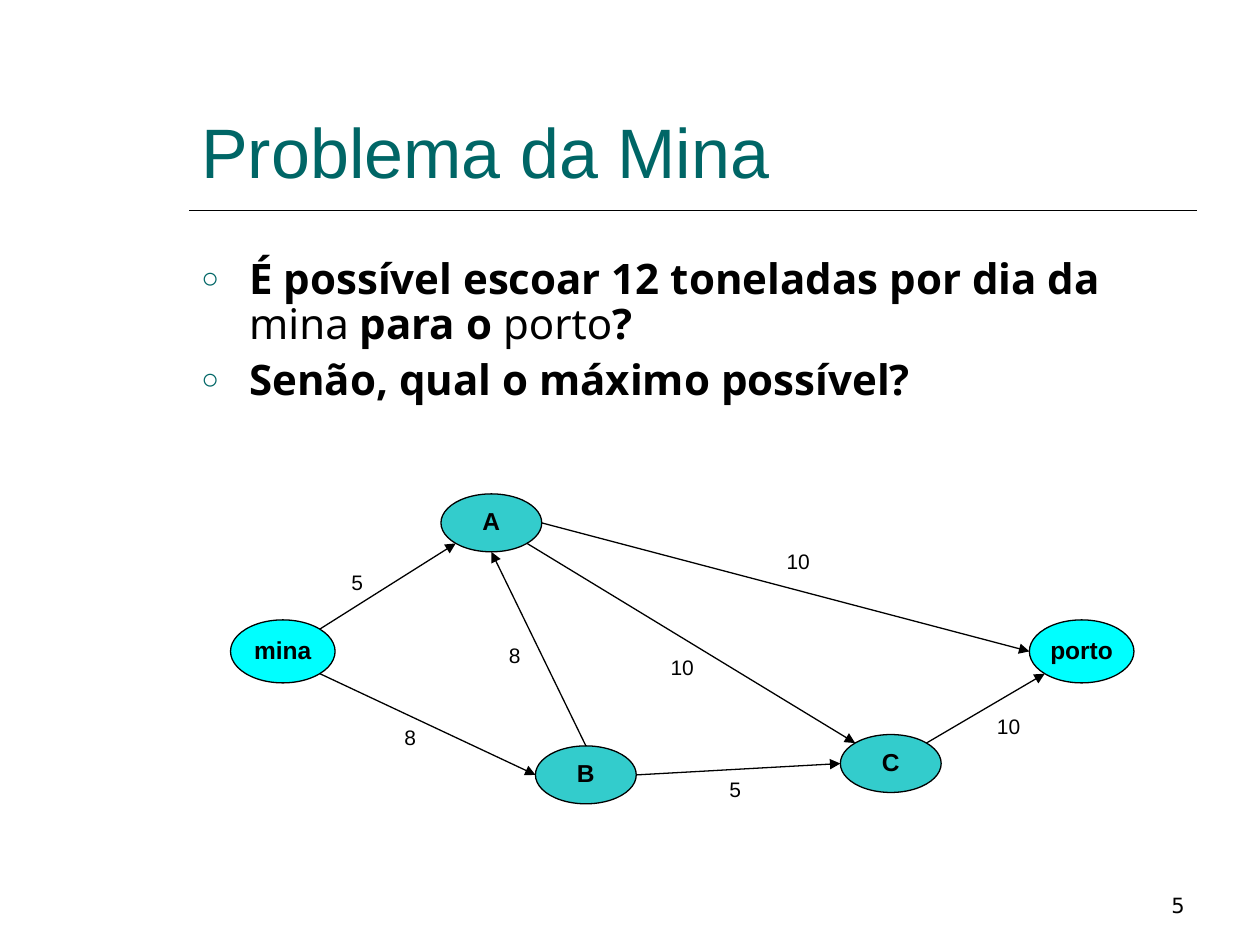
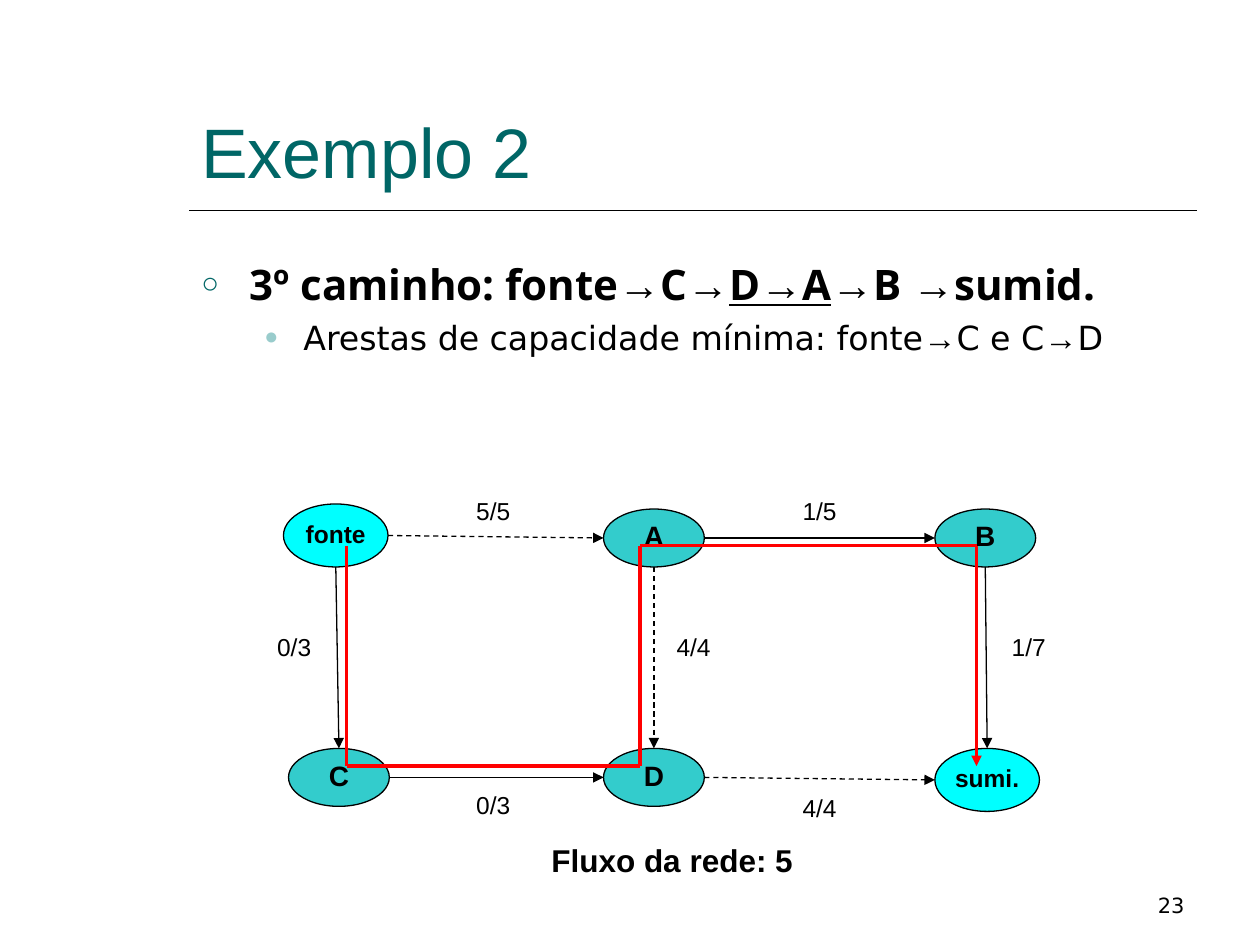
from dataclasses import dataclass, field
from itertools import groupby, pairwise
from math import cos, radians, sin

from lxml.etree import SubElement as Sub
from pptx import Presentation
from pptx.dml.color import RGBColor as Rgb
from pptx.enum.dml import MSO_LINE as Dash
from pptx.enum.shapes import MSO_CONNECTOR as Link, MSO_SHAPE as Form
from pptx.enum.text import MSO_ANCHOR as Anchor, PP_ALIGN as Align
from pptx.oxml.ns import qn
from pptx.util import Inches, Pt

BLACK, TEAL, PALE = "000000", "006666", "99CCCC"
CYAN, AQUA, RED, WHITE = "00FFFF", "33CCCC", "FF0000", "FFFFFF"
SANS, NOTO, DEJA, TIMES = "Arial", "Noto Sans", "DejaVu Sans", "Times New Roman"
EAST, SOUTHEAST, SOUTH, SOUTHWEST = 0, 45, 90, 135
WEST, NORTHWEST, NORTH, NORTHEAST = 180, 225, 270, 315
ARROW = "→"

Point = tuple[float, float]
Box = tuple[float, float, float, float]


@dataclass
class Node:
    text: str
    left: float
    top: float
    end: bool = False
    size: int = 14

    def area(self) -> Box:
        return (self.left, self.top, *((0.83, 0.5) if self.end else (0.8, 0.46)))

    def site(self, angle: int) -> Point:
        left, top, width, height = self.area()
        turn = radians(angle)
        return (left + width / 2 * (1 + cos(turn)),
                top + height / 2 * (1 + sin(turn)))


@dataclass
class Edge:
    start: str
    leave: int
    goal: str
    enter: int
    dash: bool = False


@dataclass
class Label:
    text: str
    left: float
    top: float


@dataclass
class Run:
    text: str
    look: dict = field(default_factory=dict)


@dataclass
class Item:
    runs: list[Run]
    font: str = NOTO
    size: int = 24
    bold: bool = True
    level: int = 0
    space: float = 1


@dataclass
class Bullet:
    sign: str
    tint: str
    left: float
    hang: float
    before: float


BULLETS = [Bullet("○", TEAL, 0.38, 0.38, 6), Bullet("●", PALE, 0.81, 0.31, 4.8)]


def color(code: str) -> Rgb:
    return Rgb.from_string(code)


def apply(target, values: dict) -> None:
    for name, value in values.items():
        setattr(target, name, value)


def add_run(para, text: str, tint: str = BLACK, **look) -> None:
    run = para.add_run()
    run.text = text
    apply(run.font, look)
    run.font.color.rgb = color(tint)


def add_text(slide, box: Box, text: str, size: int, frame: dict, para: dict,
             **look) -> None:
    shape = slide.shapes.add_textbox(*map(Inches, box))
    apply(shape.text_frame, {"word_wrap": True} | frame)
    first = shape.text_frame.paragraphs[0]
    apply(first, para)
    add_run(first, text, size=Pt(size), **look)


def add_line(slide, start: Point, goal: Point, tint: str = BLACK,
             width: float = 0.75, head: bool = False, dash: bool = False) -> None:
    line = slide.shapes.add_connector(Link.STRAIGHT, *map(Inches, start + goal))
    line.line.color.rgb = color(tint)
    line.line.width = Pt(width)
    if dash:
        line.line.dash_style = Dash.DASH
    if head:
        Sub(line.line._get_or_add_ln(), qn("a:tailEnd"), type="triangle")
    Sub(line._element.spPr, qn("a:effectLst"))


def add_node(slide, node: Node) -> None:
    shape = slide.shapes.add_shape(Form.OVAL, *map(Inches, node.area()))
    shape.shadow.inherit = False
    shape.fill.solid()
    shape.fill.fore_color.rgb = color(CYAN if node.end else AQUA)
    shape.line.color.rgb = color(BLACK)
    shape.line.width = Pt(0.75)
    apply(shape.text_frame, {"word_wrap": False, "vertical_anchor": Anchor.MIDDLE})
    para = shape.text_frame.paragraphs[0]
    apply(para, {"alignment": Align.CENTER, "line_spacing": 0.87})
    add_run(para, node.text, name=SANS, size=Pt(node.size), bold=True)


def add_label(slide, box: Box, text: str, size: int, bold: bool = False) -> None:
    para = {"alignment": Align.CENTER, "line_spacing": 0.87,
            "space_before": Pt(size * 0.625)}
    add_text(slide, box, text, size, {}, para, name=SANS, bold=bold)


def add_graph(slide, nodes: list[Node], edges: list[Edge], labels: list[Label],
              size: int) -> None:
    for node in nodes:
        add_node(slide, node)
    spots = {node.text: node for node in nodes}
    for edge in edges:
        add_line(slide, spots[edge.start].site(edge.leave),
                 spots[edge.goal].site(edge.enter), head=True, dash=edge.dash)
    for label in labels:
        add_label(slide, (label.left, label.top, 0.67, 0.3), label.text, size)


def add_bullet(para, level: int) -> None:
    mark = BULLETS[level]
    apply(para, {"level": level, "space_before": Pt(mark.before)})
    props = para._p.get_or_add_pPr()
    props.set("marL", str(Inches(mark.left)))
    props.set("indent", str(-Inches(mark.hang)))
    Sub(Sub(props, qn("a:buClr")), qn("a:srgbClr"), val=mark.tint)
    Sub(props, qn("a:buSzPct"), val="70000")
    Sub(props, qn("a:buFont"), typeface=SANS)
    Sub(props, qn("a:buChar"), char=mark.sign)


def add_body(slide, height: float, items: list[Item]) -> None:
    shape = slide.shapes.add_textbox(*map(Inches, (1.5, 2, 8, height)))
    frame = shape.text_frame
    frame.word_wrap = True
    for place, item in enumerate(items):
        para = frame.add_paragraph() if place else frame.paragraphs[0]
        para.line_spacing = item.space
        add_bullet(para, item.level)
        for run in item.runs:
            for arrow, part in groupby(run.text, lambda sign: sign == ARROW):
                look = {"name": TIMES if arrow else item.font,
                        "size": Pt(item.size), "bold": item.bold}
                add_run(para, "".join(part), **(look | run.look))


def add_slide(deck, title: str, number: int):
    slide = deck.slides.add_slide(deck.slide_layouts[6])
    slide.background.fill.solid()
    slide.background.fill.fore_color.rgb = color(WHITE)
    add_line(slide, (1.5, 1.67), (9.5, 1.67), width=1)
    base = {"vertical_anchor": Anchor.BOTTOM}
    add_text(slide, (1.5, 0.33, 8, 1.25), title, 40, base, {}, name=SANS, tint=TEAL)
    add_text(slide, (7.17, 6.83, 2.33, 0.5), str(number), 12, base,
             {"alignment": Align.RIGHT}, name=DEJA)
    return slide


def draw_mine(deck) -> None:
    slide = add_slide(deck, "Problema da Mina", 5)
    plain = {"bold": False}
    add_body(slide, 1.34, [
        Item([Run("É possível escoar 12 toneladas por dia da "), Run("mina", plain),
              Run(" para o "), Run("porto", plain), Run("?")], space=0.9),
        Item([Run("Senão, qual o máximo possível?")], space=0.9),
    ])
    nodes = [
        Node("mina", 1.83, 4.92, True),
        Node("porto", 8.17, 4.92, True),
        Node("A", 3.5, 3.92),
        Node("B", 4.25, 5.92),
        Node("C", 6.67, 5.83),
    ]
    edges = [
        Edge("mina", SOUTHEAST, "B", WEST),
        Edge("B", NORTH, "A", SOUTH),
        Edge("mina", NORTHEAST, "A", SOUTHWEST),
        Edge("B", EAST, "C", WEST),
        Edge("C", NORTHEAST, "porto", SOUTHWEST),
        Edge("A", SOUTHEAST, "C", NORTHWEST),
        Edge("A", EAST, "porto", WEST),
    ]
    labels = [
        Label("5", 2.5, 4.5), Label("8", 2.92, 5.73), Label("8", 3.75, 5.08),
        Label("10", 5.08, 5.17), Label("10", 6, 4.33), Label("5", 5.5, 6.14),
        Label("10", 7.67, 5.64),
    ]
    add_graph(slide, nodes, edges, labels, 12)


def draw_flow(deck) -> None:
    slide = add_slide(deck, "Exemplo 2", 23)
    add_body(slide, 2.17, [
        Item([Run("3º caminho: fonte→C→"), Run("D→A", {"underline": True}),
              Run("→B →sumid.")]),
        Item([Run("Arestas de capacidade mínima: fonte→C e C→D")],
             DEJA, 19, False, 1),
    ])
    nodes = [
        Node("fonte", 2.25, 4, True),
        Node("sumi.", 7.42, 5.94, True),
        Node("A", 4.79, 4.04, size=16),
        Node("B", 7.42, 4.04, size=16),
        Node("C", 2.29, 5.94, size=16),
        Node("D", 4.79, 5.94, size=16),
    ]
    edges = [
        Edge("fonte", EAST, "A", WEST, True),
        Edge("A", EAST, "B", WEST),
        Edge("C", EAST, "D", WEST),
        Edge("D", EAST, "sumi.", WEST, True),
        Edge("fonte", SOUTH, "C", NORTH),
        Edge("A", SOUTH, "D", NORTH, True),
        Edge("B", SOUTH, "sumi.", NORTH),
    ]
    labels = [
        Label("0/3", 2, 5), Label("4/4", 5.17, 5), Label("1/7", 7.83, 5),
        Label("5/5", 3.58, 3.92), Label("1/5", 6.17, 3.92),
        Label("0/3", 3.58, 6.25), Label("4/4", 6.17, 6.28),
    ]
    add_graph(slide, nodes, edges, labels, 14)
    add_label(slide, (3.5, 6.67, 3.67, 0.36), "Fluxo da rede: 5", 18, True)
    high, low = 4.33, 6.08
    route = [(2.75, high), (2.75, low), (5.08, low), (5.08, high),
             (7.75, high), (7.75, low)]
    for start, goal in pairwise(route):
        add_line(slide, start, goal, RED, 2, head=goal == route[-1])


def main() -> None:
    deck = Presentation()
    apply(deck, {"slide_width": Inches(10), "slide_height": Inches(7.5)})
    draw_mine(deck)
    draw_flow(deck)
    deck.save("out.pptx")


if __name__ == "__main__":
    main()
